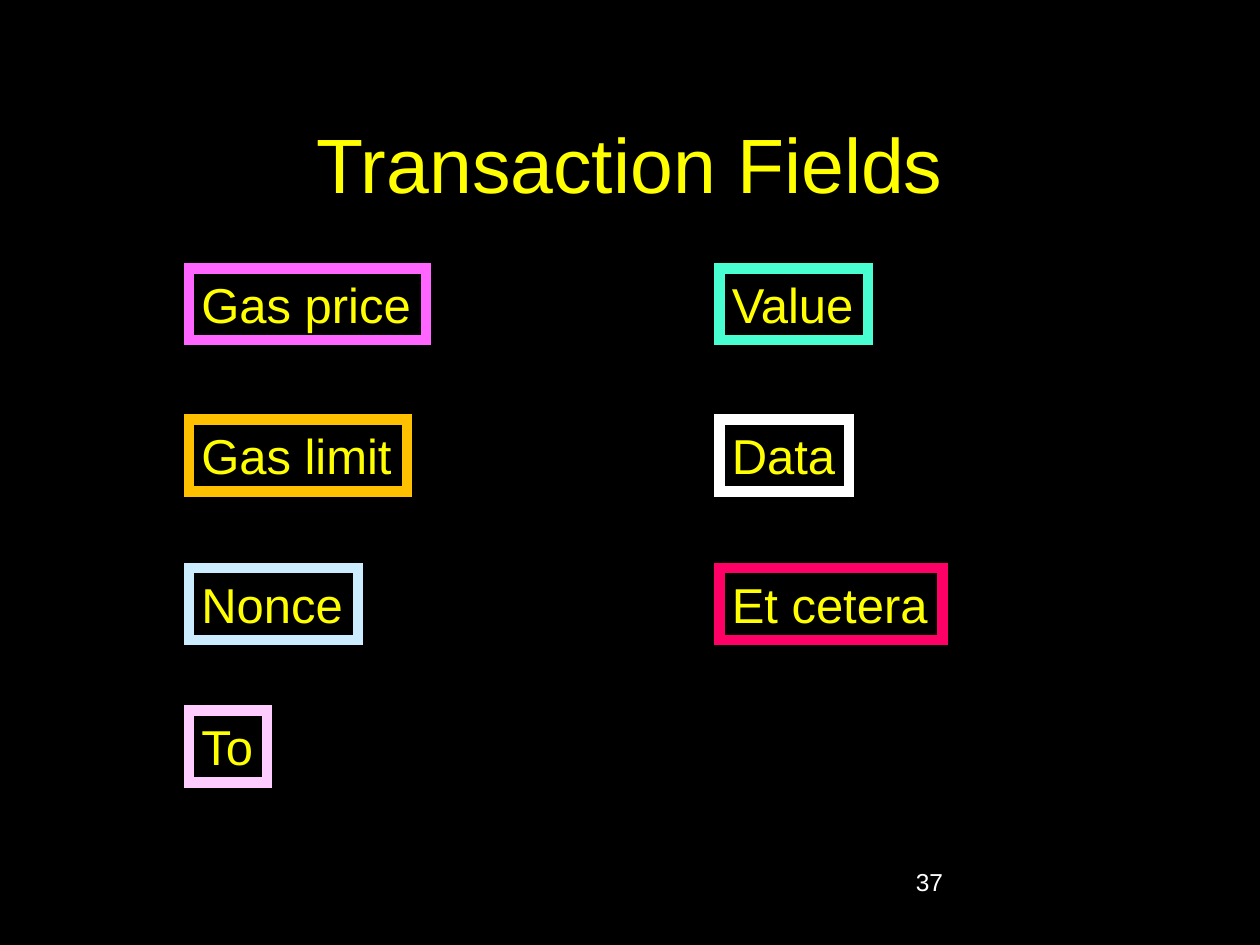
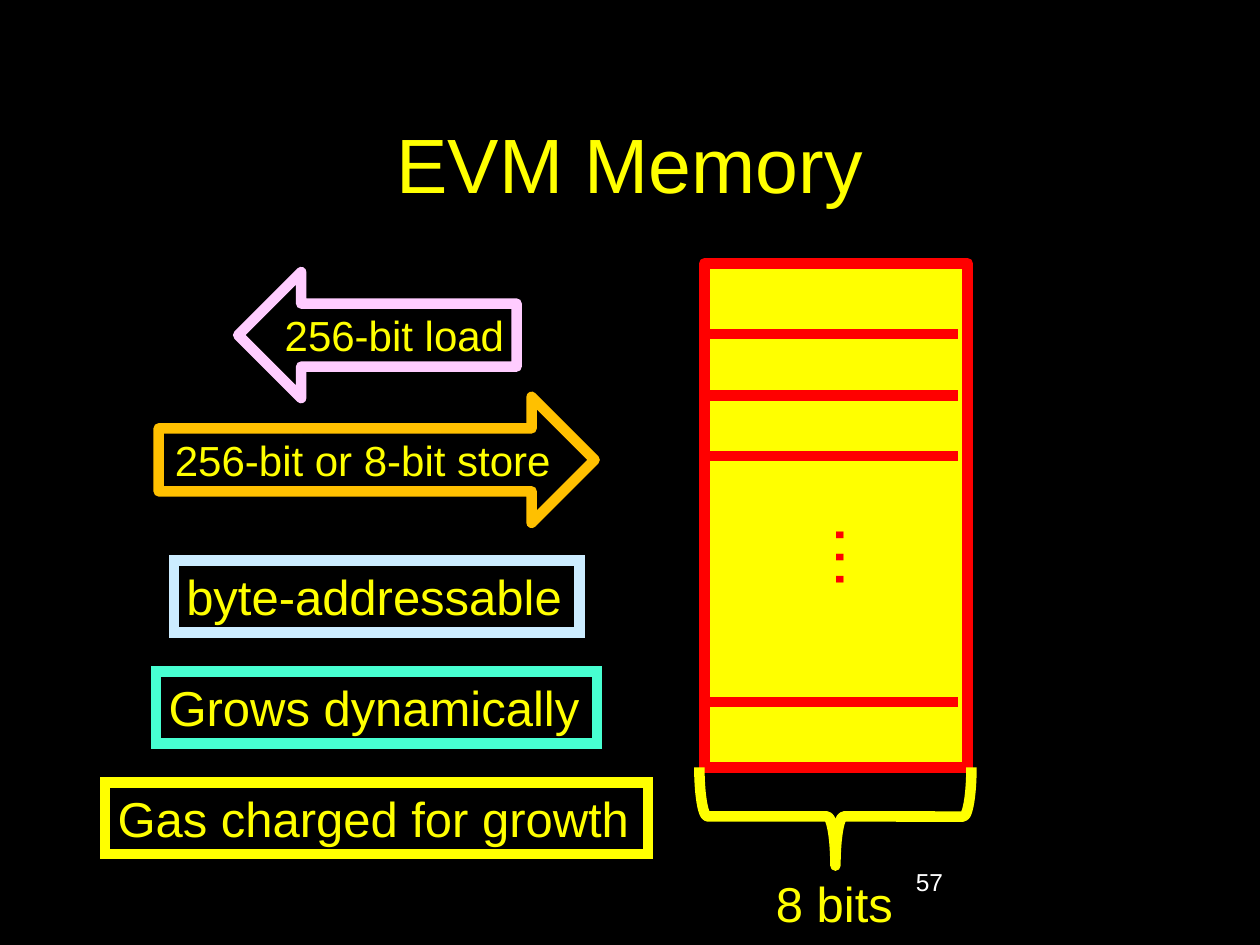
from lxml.etree import SubElement
from pptx import Presentation
from pptx.dml.color import RGBColor
from pptx.enum.shapes import MSO_CONNECTOR as Connector, MSO_SHAPE as Shape
from pptx.enum.text import MSO_ANCHOR as Anchor, PP_ALIGN as Align
from pptx.oxml.ns import qn
from pptx.util import Inches, Pt

BLACK, WHITE, YELLOW, RED = "000000", "FFFFFF", "FFFF00", "FF0000"
ORANGE, MINT, SKY, PINK = "FFC000", "47FFD1", "CCECFF", "FFCCFF"
MAGENTA, ROSE = "FF66FF", "FF0066"
FONT = "Arial"
BORDER = 6
LABEL_HEIGHT = 0.57

FIELD_ROWS = [2.13, 3.33, 4.51, 5.64]
FIELD_COLUMNS = [
    (1.5, [("Gas price", 1.88, MAGENTA), ("Gas limit", 1.73, ORANGE),
           ("Nonce", 1.34, SKY), ("To", 0.62, PINK)]),
    (5.71, [("Value", 1.18, MINT), ("Data", 1.03, WHITE), ("Et cetera", 1.77, ROSE)]),
]

ACCESS_ARROWS = [
    ("256-bit load", Shape.LEFT_ARROW, (1.89, 2.16, 2.21, 1), PINK),
    ("256-bit or 8-bit store", Shape.RIGHT_ARROW, (1.26, 3.15, 3.46, 1), ORANGE),
]
TRAITS_CENTER, TRAITS_TOP, TRAITS_STEP = 2.99, 4.45, 0.88
TRAITS = [("byte-addressable", 3.22, SKY), ("Grows dynamically", 3.5, MINT),
          ("Gas charged for growth", 4.31, YELLOW)]
MEMORY = (5.59, 2.09, 2.09, 4)
CELL_LINES = [2.65, 3.14, 3.62, 5.57]
CELL_LINE_END = 7.6


def color(code):
    """Return the colour of a hex string."""
    return RGBColor.from_string(code)


def write(box, text, size, code=YELLOW, align=Align.LEFT, anchor=Anchor.TOP, wrap=False):
    """Put one formatted paragraph into a shape."""
    frame = box.text_frame
    frame.text = text
    frame.word_wrap = wrap
    frame.vertical_anchor = anchor
    para = frame.paragraphs[0]
    para.alignment = align
    font = para.runs[0].font
    font.name, font.size, font.color.rgb = FONT, Pt(size), color(code)


def add_outlined(page, kind, place, line, fill=None):
    """Add a preset shape with a thick border and an optional fill."""
    shape = page.shapes.add_shape(kind, *map(Inches, place))
    shape.shadow.inherit = False
    shape.line.color.rgb, shape.line.width = color(line), Pt(BORDER)
    if fill:
        shape.fill.solid()
        shape.fill.fore_color.rgb = color(fill)
    else:
        shape.fill.background()
    return shape


def add_label(page, text, left, top, width, line):
    """Add a black label with a sharp-cornered coloured border."""
    label = add_outlined(page, Shape.RECTANGLE, (left, top, width, LABEL_HEIGHT), line, BLACK)
    SubElement(label.line._get_or_add_ln(), qn("a:miter"), lim="800000")
    write(label, text, 28)


def add_text(page, place, text, size, code=YELLOW, **style):
    """Add a text box."""
    box = page.shapes.add_textbox(*map(Inches, place))
    write(box, text, size, code, **style)
    return box


def add_divider(page, left, right, height):
    """Add a level line between two memory cells."""
    ends = map(Inches, (left, height, right, height))
    divider = page.shapes.add_connector(Connector.STRAIGHT, *ends)
    divider.line.color.rgb, divider.line.width = color(RED), Pt(BORDER)
    SubElement(divider._element.spPr, qn("a:effectLst"))


def add_page(deck, title, number):
    """Add a page with its title and page number."""
    page = deck.slides.add_slide(deck.slide_layouts[5])
    heading = page.shapes.title
    heading.left, heading.top, heading.width, heading.height = map(
        Inches, (0.75, 0.67, 8.5, 1.25))
    write(heading, title, 44, align=Align.CENTER, anchor=Anchor.MIDDLE, wrap=True)
    add_text(page, (7.17, 6.83, 2.08, 0.5), number, 14, WHITE, wrap=True)
    return page


def build_fields(deck):
    """Build the page of transaction fields."""
    page = add_page(deck, "Transaction Fields", "37")
    for left, fields in FIELD_COLUMNS:
        for top, (name, width, line) in zip(FIELD_ROWS, fields):
            add_label(page, name, left, top, width, line)


def build_memory(deck):
    """Build the page on memory layout and access."""
    page = add_page(deck, "EVM Memory", "57")
    add_outlined(page, Shape.RECTANGLE, MEMORY, RED, YELLOW)
    for height in CELL_LINES:
        add_divider(page, MEMORY[0], CELL_LINE_END, height)
    add_text(page, (6.48, 4.04, 0.76, 0.77), "…", 40, RED).rotation = 90
    add_outlined(page, Shape.RIGHT_BRACE, (6.24, 5.4, 0.78, 2.16), YELLOW).rotation = 90
    add_text(page, (6.06, 6.88, 1.14, LABEL_HEIGHT), "8 bits", 28)
    for text, kind, place, line in ACCESS_ARROWS:
        arrow = add_outlined(page, kind, place, line)
        write(arrow, text, 24, align=Align.RIGHT, anchor=Anchor.MIDDLE)
    for row, (text, width, line) in enumerate(TRAITS):
        top = TRAITS_TOP + row * TRAITS_STEP
        add_label(page, text, TRAITS_CENTER - width / 2, top, width, line)


def main():
    """Build and save the deck."""
    deck = Presentation()
    deck.slide_width, deck.slide_height = Inches(10), Inches(7.5)
    backdrop = deck.slide_master.background.fill
    backdrop.solid()
    backdrop.fore_color.rgb = color(BLACK)
    build_fields(deck)
    build_memory(deck)
    deck.save("out.pptx")


if __name__ == "__main__":
    main()
